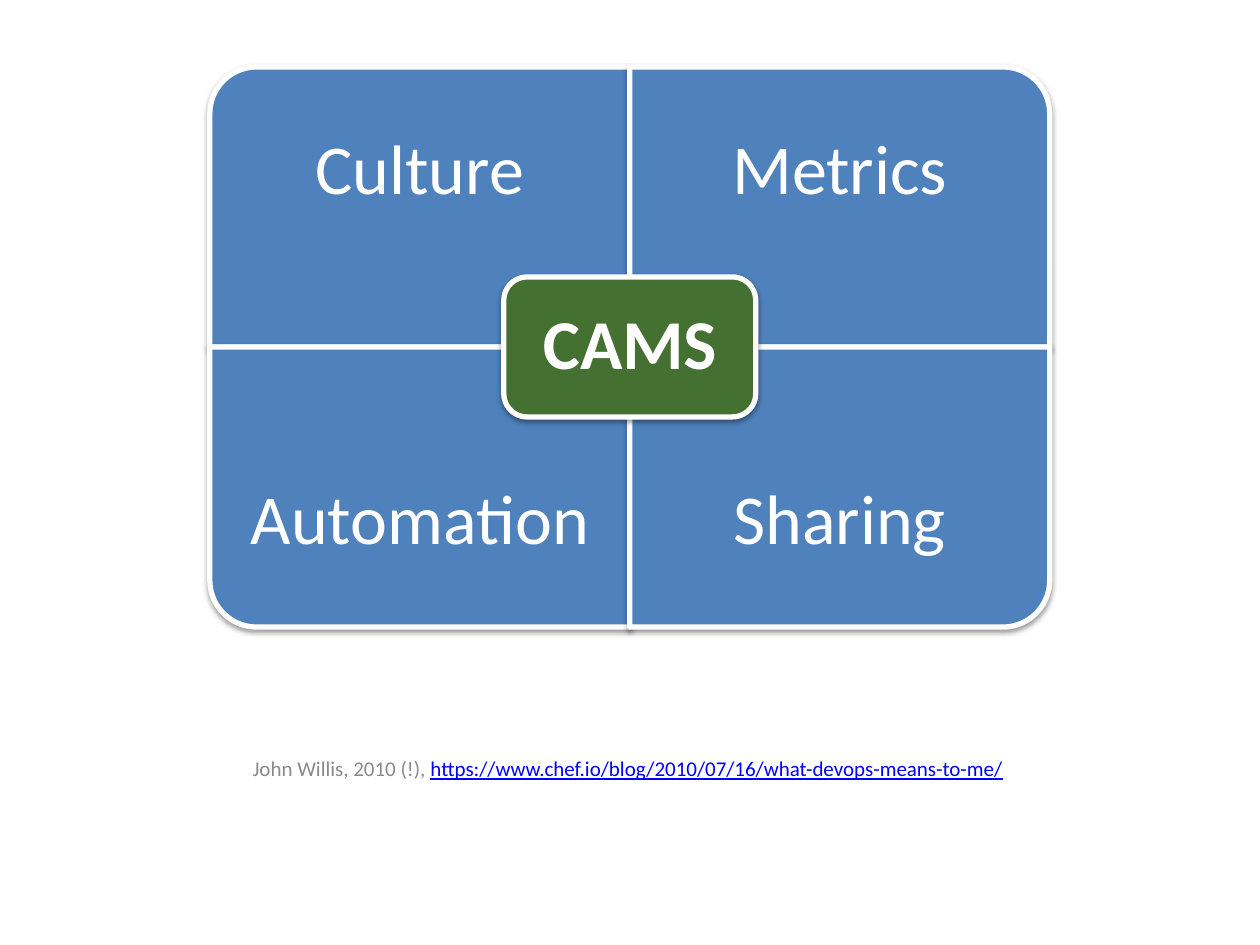
from lxml.etree import SubElement
from pptx import Presentation
from pptx.dml.color import RGBColor
from pptx.enum.shapes import MSO_SHAPE
from pptx.enum.text import MSO_ANCHOR, PP_ALIGN
from pptx.oxml.ns import qn
from pptx.util import Cm, Pt

WHITE = RGBColor(0xFF, 0xFF, 0xFF)
BLUE = RGBColor(0x4F, 0x81, 0xBD)
GREEN = RGBColor(0x44, 0x70, 0x31)
GREY = RGBColor(0x8A, 0x8A, 0x8A)
LINK = RGBColor(0x00, 0x00, 0xFF)
FONT = "Calibri"

# name, column, row, rotation that turns the round corner outwards
PARTS = [
    ("Culture", 0, 0, 270),
    ("Metrics", 1, 0, 0),
    ("Automation", 0, 1, 180),
    ("Sharing", 1, 1, 90),
]


def add_shadow(shape):
    shape.shadow.inherit = False
    effects = shape._element.spPr.find(qn("a:effectLst"))
    outer = SubElement(effects, qn("a:outerShdw"), blurRad=str(Pt(3.1)),
                       dist=str(Pt(1.6)), dir="5400000", rotWithShape="0")
    black = SubElement(outer, qn("a:srgbClr"), val="000000")
    SubElement(black, qn("a:alpha"), val="38000")


def add_tile(group, kind, box, fill):
    tile = group.shapes.add_shape(kind, *box)
    tile.fill.solid()
    tile.fill.fore_color.rgb = fill
    tile.line.color.rgb = WHITE
    tile.line.width = Pt(3)
    add_shadow(tile)
    return tile


def set_label(shape, text, inset, bold=False):
    frame = shape.text_frame
    frame.word_wrap = True
    frame.vertical_anchor = MSO_ANCHOR.MIDDLE
    frame.margin_left = frame.margin_right = inset
    frame.margin_top = frame.margin_bottom = inset
    para = frame.paragraphs[0]
    para.text = text
    para.alignment = PP_ALIGN.CENTER
    para.line_spacing = 0.9
    para.font.name = FONT
    para.font.size = Pt(40)
    para.font.bold = bold
    para.font.color.rgb = WHITE


def add_matrix(slide, left, top, width, height):
    """Four quarters around a central box."""
    group = slide.shapes.add_group_shape()
    wide, high = width // 2, height // 2
    for name, col, row, turn in PARTS:
        x, y = left + col * wide, top + row * high
        # A quarter turn swaps the sides around the same centre.
        w, h = (high, wide) if turn % 180 else (wide, high)
        box = x + (wide - w) // 2, y + (high - h) // 2, w, h
        tile = add_tile(group, MSO_SHAPE.ROUND_1_RECTANGLE, box, BLUE)
        tile.rotation = turn
        # Labels fill the outer three quarters of each tile.
        label = group.shapes.add_textbox(x, y + row * high // 4,
                                         wide, high * 3 // 4)
        set_label(label, name, Cm(0.79))

    w, h = wide * 3 // 5, high // 2
    box = left + wide - w // 2, top + high - h // 2, w, h
    core = add_tile(group, MSO_SHAPE.ROUNDED_RECTANGLE, box, GREEN)
    set_label(core, "CAMS", Cm(0.43), bold=True)


def add_credit(slide, left, top, width, height):
    frame = slide.shapes.add_textbox(left, top, width, height).text_frame
    frame.word_wrap = False
    para = frame.paragraphs[0]
    para.alignment = PP_ALIGN.CENTER
    para.font.name = FONT
    para.font.size = Pt(12)
    author = para.add_run()
    author.text = "John Willis, 2010 (!), "
    author.font.color.rgb = GREY
    link = para.add_run()
    link.text = "https://www.chef.io/blog/2010/07/16/what-devops-means-to-me/"
    link.font.color.rgb = LINK
    link.font.underline = True


def main():
    deck = Presentation()
    deck.slide_width, deck.slide_height = Cm(25.4), Cm(19.05)
    slide = deck.slides.add_slide(deck.slide_layouts[6])
    add_matrix(slide, Cm(4.23), Cm(1.35), Cm(16.93), Cm(11.29))
    add_credit(slide, Cm(4.75), Cm(15.11), Cm(15.82), Cm(0.77))
    deck.save("out.pptx")


if __name__ == "__main__":
    main()
